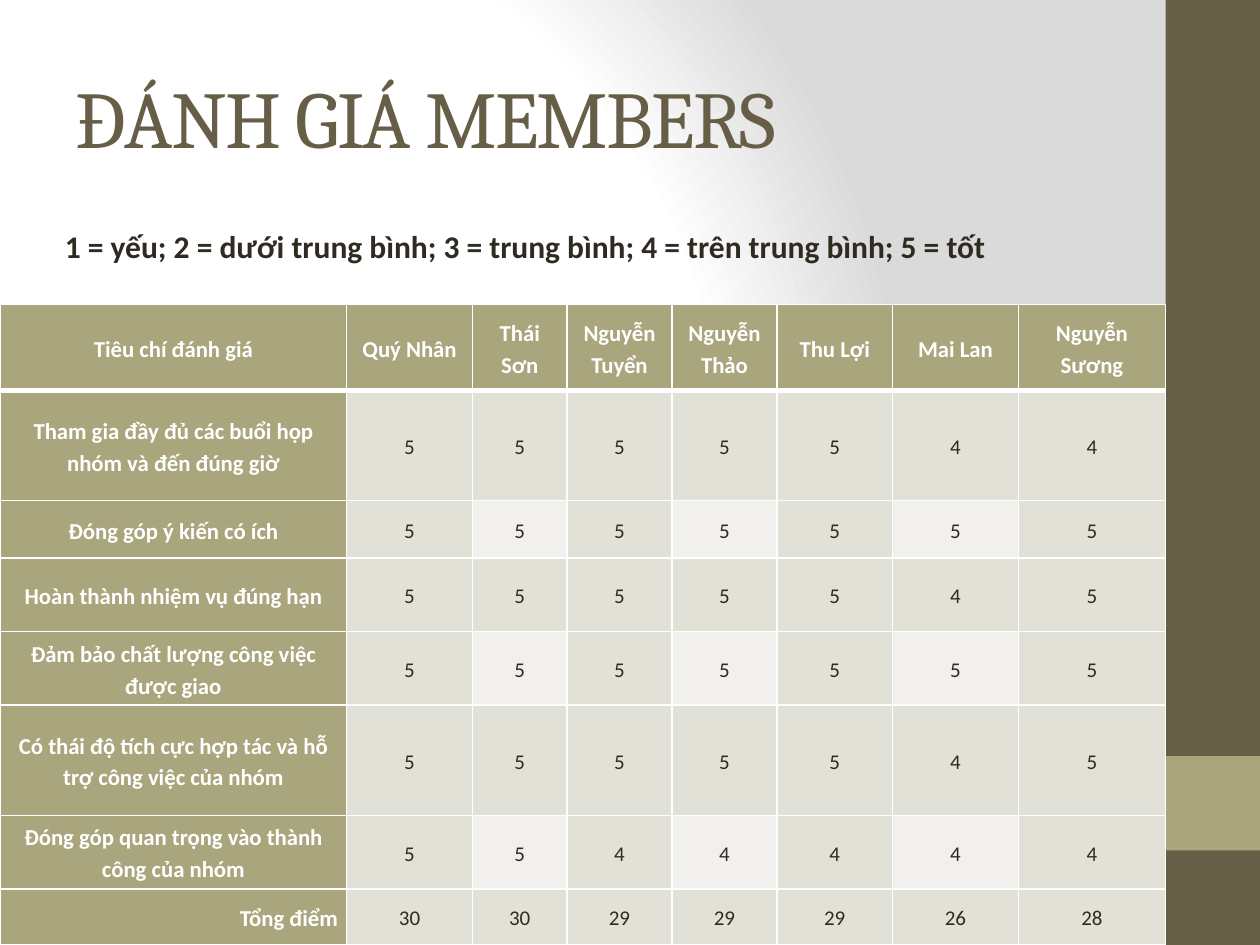
"""Build the member evaluation slide with its score table."""
import pptx
import pptx.dml.color
import pptx.enum.shapes
import pptx.enum.text
import pptx.oxml
import pptx.oxml.ns
import pptx.util

Pt = pptx.util.Pt
RGB = pptx.dml.color.RGBColor.from_string
ALIGN = pptx.enum.text.PP_ALIGN
MIDDLE = pptx.enum.text.MSO_ANCHOR.MIDDLE

THEME = {
    "heading_font": "Cambria", "body_font": "Calibri",
    "title_size": 46, "scale_size": 18, "label_size": 13, "score_size": 12,
    "brown": "675E47", "olive": "A9A57C", "ink": "2F2B20", "white": "FFFFFF",
    "band": "E2E1D7", "light_band": "F1F0EC", "glow": "DADADA",
}

TITLE = "ĐÁNH GIÁ MEMBERS"
SCALE = "1 = yếu; 2 = dưới trung bình; 3 = trung bình; 4 = trên trung bình; 5 = tốt"
HEADER = ["Tiêu chí đánh giá", "Quý Nhân", "Thái Sơn", "Nguyễn Tuyển",
          "Nguyễn Thảo", "Thu Lợi", "Mai Lan", "Nguyễn Sương"]
CRITERIA = [
    ("Tham gia đầy đủ các buổi họp nhóm và đến đúng giờ", [5, 5, 5, 5, 5, 4, 4]),
    ("Đóng góp ý kiến có ích", [5, 5, 5, 5, 5, 5, 5]),
    ("Hoàn thành nhiệm vụ đúng hạn", [5, 5, 5, 5, 5, 4, 5]),
    ("Đảm bảo chất lượng công việc được giao", [5, 5, 5, 5, 5, 5, 5]),
    ("Có thái độ tích cực hợp tác và hỗ trợ công việc của nhóm", [5, 5, 5, 5, 5, 4, 5]),
    ("Đóng góp quan trọng vào thành công của nhóm", [5, 5, 4, 4, 4, 4, 4]),
]
TOTAL_LABEL = "Tổng điểm"
COLUMN_WIDTHS = [198, 72, 54, 60, 60, 66, 72, 84]
ROW_HEIGHTS = [49, 63, 33, 42, 42, 63, 42, 32]
SIDEBAR = [(0, 540, "brown"), (432, 54, "olive")]


def place(part, left, top, width, height):
    part.left, part.top, part.width, part.height = map(Pt, (left, top, width, height))


def write(paragraph, words, font, size, color, bold=False):
    run = paragraph.add_run()
    run.text = words
    run.font.name, run.font.size, run.font.bold = THEME[font], Pt(THEME[size]), bold
    run.font.color.rgb = RGB(THEME[color])
    return run


def paint_background(slide):
    slide.background.fill.gradient()
    gradient = slide.element.find(".//" + pptx.oxml.ns.qn("a:gradFill"))
    stops = "".join(
        f'<a:gs pos="{position * 1000}"><a:srgbClr val="{THEME[color]}"/></a:gs>'
        for position, color in [(0, "white"), (75, "white"), (100, "glow")])
    gradient.getparent().replace(gradient, pptx.oxml.parse_xml(
        f'<a:gradFill {pptx.oxml.ns.nsdecls("a")} rotWithShape="1"><a:gsLst>{stops}</a:gsLst>'
        '<a:path path="circle"><a:fillToRect l="20000" t="50000" r="100000" b="50000"/>'
        '</a:path></a:gradFill>'))


def add_sidebar(slide):
    for top, height, color in SIDEBAR:
        bar = slide.shapes.add_shape(pptx.enum.shapes.MSO_SHAPE.RECTANGLE,
                                     Pt(666), Pt(top), Pt(54), Pt(height))
        bar.shadow.inherit = False
        bar.fill.solid()
        bar.fill.fore_color.rgb = RGB(THEME[color])
        bar.line.fill.background()


def add_title(slide):
    title = slide.shapes.title
    place(title, 36, 21.6, 600, 90)
    title.text_frame.vertical_anchor = MIDDLE
    title.text_frame.auto_size = pptx.enum.text.MSO_AUTO_SIZE.NONE
    heading = title.text_frame.paragraphs[0]
    heading.alignment = ALIGN.LEFT
    run = write(heading, TITLE, "heading_font", "title_size", "brown")
    run.font._element.set("spc", "-100")


def add_scale(slide):
    scale = slide.shapes.add_textbox(Pt(30), Pt(126), Pt(582), Pt(29))
    scale.text_frame.word_wrap = True
    write(scale.text_frame.paragraphs[0], SCALE, "body_font", "scale_size", "ink", True)


def set_borders(cell, bottom_width):
    widths = {"lnL": 1, "lnR": 1, "lnT": 1, "lnB": bottom_width}
    properties = cell._tc.get_or_add_tcPr()
    for position, (edge, width) in enumerate(widths.items()):
        properties.insert(position, pptx.oxml.parse_xml(
            f'<a:{edge} {pptx.oxml.ns.nsdecls("a")} w="{Pt(width)}"><a:solidFill>'
            f'<a:srgbClr val="{THEME["white"]}"/></a:solidFill></a:{edge}>'))


def add_scores(slide):
    totals = [sum(member) for member in zip(*(scores for _, scores in CRITERIA))]
    rows = [HEADER, *([label, *scores] for label, scores in CRITERIA), [TOTAL_LABEL, *totals]]
    table = slide.shapes.add_table(len(rows), len(HEADER), Pt(0), Pt(174),
                                   Pt(sum(COLUMN_WIDTHS)), Pt(sum(ROW_HEIGHTS))).table
    table.first_col = True
    for column, width in zip(table.columns, COLUMN_WIDTHS):
        column.width = Pt(width)
    for row, height in zip(table.rows, ROW_HEIGHTS):
        row.height = Pt(height)
    for r, values in enumerate(rows):
        for c, value in enumerate(values):
            cell = table.cell(r, c)
            is_label = r == 0 or c == 0
            is_light = r % 2 == 0 and c % 2 == 0
            fill = "olive" if is_label else "light_band" if is_light else "band"
            cell.fill.solid()
            cell.fill.fore_color.rgb = RGB(THEME[fill])
            cell.vertical_anchor = MIDDLE
            cell.margin_left = cell.margin_right = Pt(5)
            cell.margin_top = cell.margin_bottom = Pt(0)
            set_borders(cell, 3 if r == 0 else 1)
            paragraph = cell.text_frame.paragraphs[0]
            paragraph.alignment = ALIGN.RIGHT if value == TOTAL_LABEL else ALIGN.CENTER
            paragraph.line_spacing = 1.15
            write(paragraph, str(value), "body_font",
                  "label_size" if is_label else "score_size",
                  "white" if is_label else "ink", is_label)


def main():
    deck = pptx.Presentation()
    deck.slide_width, deck.slide_height = Pt(720), Pt(540)
    slide = deck.slides.add_slide(deck.slide_layouts[5])
    paint_background(slide)
    add_sidebar(slide)
    add_title(slide)
    add_scores(slide)
    add_scale(slide)
    deck.save("out.pptx")


if __name__ == "__main__":
    main()
